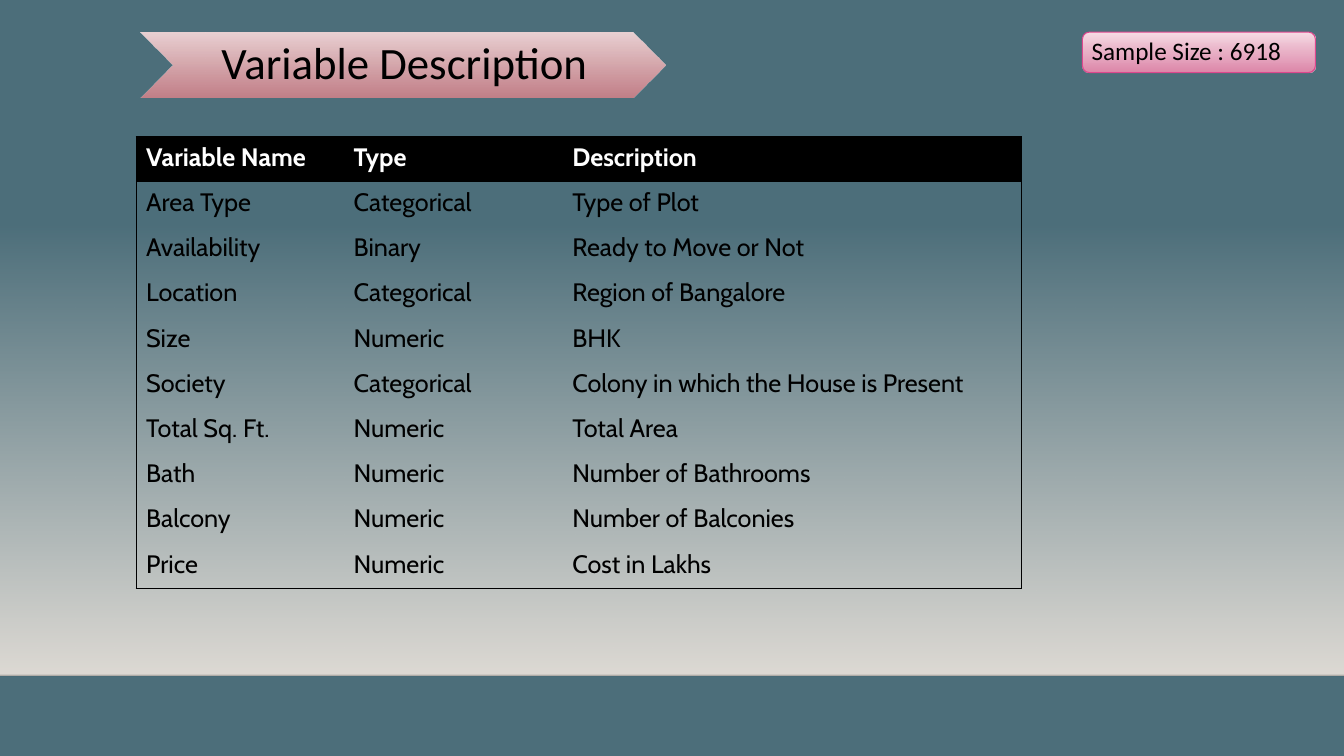
import pptx
import pptx.util
import pptx.dml.color
import pptx.enum.shapes
import pptx.enum.text
import pptx.oxml
import pptx.oxml.ns
from pptx.util import Cm

colors = {
    "slate": "4C6E7A", "sand": "DFDBD5", "ink": "000000", "white": "FFFFFF",
    "rose_light": "EAD1D3", "rose": "CD828A",
    "pink_light": "F7DCE5", "pink": "EA8AAE", "pink_edge": "DE478E",
}
rgb = {name: pptx.dml.color.RGBColor.from_string(value) for name, value in colors.items()}
qn = pptx.oxml.ns.qn
shape_types = pptx.enum.shapes.MSO_SHAPE
alignment = pptx.enum.text.PP_ALIGN


def add_alpha(element, percent):
    for color in element.iter(qn("a:srgbClr")):
        alpha = color.makeelement(qn("a:alpha"), {"val": str(percent * 1000)})
        color.append(alpha)


def add_gradient_shape(kind, left, top, width, height, stops):
    shape = page.shapes.add_shape(kind, Cm(left), Cm(top), Cm(width), Cm(height))
    shape.shadow.inherit = False
    shape.line.fill.background()
    shape.fill.gradient()
    shape.fill.gradient_angle = 270
    gradient_elements = shape._element.spPr.findall(".//" + qn("a:gs"))
    for stop, element, (name, opacity) in zip(shape.fill.gradient_stops, gradient_elements, stops):
        stop.color.rgb = rgb[name]
        add_alpha(element, opacity)
    return shape


deck = pptx.Presentation()
deck.slide_width = Cm(33.87)
deck.slide_height = Cm(19.05)
page = deck.slides.add_slide(deck.slide_layouts[6])
page.background.fill.solid()
page.background.fill.fore_color.rgb = rgb["slate"]

add_gradient_shape(shape_types.RECTANGLE, 0, 5.61, 33.87, 11.41, [("sand", 0), ("sand", 100)])

floor = page.shapes.add_connector(
    pptx.enum.shapes.MSO_CONNECTOR.STRAIGHT, 0, Cm(17.02), Cm(33.87), Cm(17.02))
floor.line.color.rgb = rgb["ink"]
floor.line.width = pptx.util.Pt(1)
add_alpha(floor.line._ln, 20)
floor._element.spPr.append(floor._element.makeelement(qn("a:effectLst"), {}))

title = add_gradient_shape(
    shape_types.CHEVRON, 3.53, 0.81, 13.23, 1.65, [("rose_light", 100), ("rose", 92)])
sample = add_gradient_shape(
    shape_types.ROUNDED_RECTANGLE, 27.28, 0.81, 5.87, 1.02, [("pink_light", 100), ("pink", 92)])
sample.line.color.rgb = rgb["pink_edge"]
sample.line.width = pptx.util.Pt(0.75)

labels = [
    (title, "Variable Description", 32, alignment.CENTER, (0.1, 0.05, 0, 0.05)),
    (sample, "Sample Size : 6918", 18, alignment.LEFT, (0.18, 0.18, 0.18, 0.18)),
]
for shape, wording, size, align, insets in labels:
    frame = shape.text_frame
    frame.word_wrap = True
    frame.vertical_anchor = pptx.enum.text.MSO_ANCHOR.MIDDLE
    frame.margin_left, frame.margin_top, frame.margin_right, frame.margin_bottom = map(Cm, insets)
    para = frame.paragraphs[0]
    para.text = wording
    para.alignment = align
    para.line_spacing = 0.9
    para.font.name = "Calibri"
    para.font.size = pptx.util.Pt(size)
    para.font.color.rgb = rgb["ink"]

variables = [
    ("Variable Name", "Type", "Description"),
    ("Area Type", "Categorical", "Type of Plot"),
    ("Availability", "Binary", "Ready to Move or Not"),
    ("Location", "Categorical", "Region of Bangalore"),
    ("Size", "Numeric", "BHK"),
    ("Society", "Categorical", "Colony in which the House is Present"),
    ("Total Sq. Ft.", "Numeric", "Total Area"),
    ("Bath", "Numeric", "Number of Bathrooms"),
    ("Balcony", "Numeric", "Number of Balconies"),
    ("Price", "Numeric", "Cost in Lakhs"),
]
column_widths = [5.23, 5.51, 11.57]
row_height = 1.14
last_row = len(variables) - 1
last_column = len(column_widths) - 1

table = page.shapes.add_table(
    len(variables), len(column_widths), Cm(3.43), Cm(3.45),
    Cm(sum(column_widths)), Cm(row_height * len(variables))).table
table.horz_banding = False
table._tbl.tblPr.find(qn("a:tableStyleId")).text = "{2D5ABB26-0587-4C30-8999-92F81FD0307C}"
for column, width in zip(table.columns, column_widths):
    column.width = Cm(width)

for row, entries in enumerate(variables):
    table.rows[row].height = Cm(row_height)
    for column, entry in enumerate(entries):
        cell = table.cell(row, column)
        if row == 0:
            cell.fill.solid()
            cell.fill.fore_color.rgb = rgb["ink"]
        else:
            cell.fill.background()
        para = cell.text_frame.paragraphs[0]
        para.text = entry
        para.font.name = "Cabin"
        para.font.size = pptx.util.Pt(18)
        para.font.bold = row == 0
        para.font.color.rgb = rgb["white" if row == 0 else "ink"]

        outer_sides = {"L": column == 0, "R": column == last_column,
                       "T": row == 0, "B": row == last_row}
        sides = [side for side, is_outer in outer_sides.items() if is_outer]
        for position, side in enumerate(sides):
            border = pptx.oxml.parse_xml(
                f'<a:ln{side} {pptx.oxml.ns.nsdecls("a")} w="9525"><a:solidFill>'
                f'<a:srgbClr val="{colors["ink"]}"/></a:solidFill></a:ln{side}>')
            cell._tc.get_or_add_tcPr().insert(position, border)

deck.save("out.pptx")
